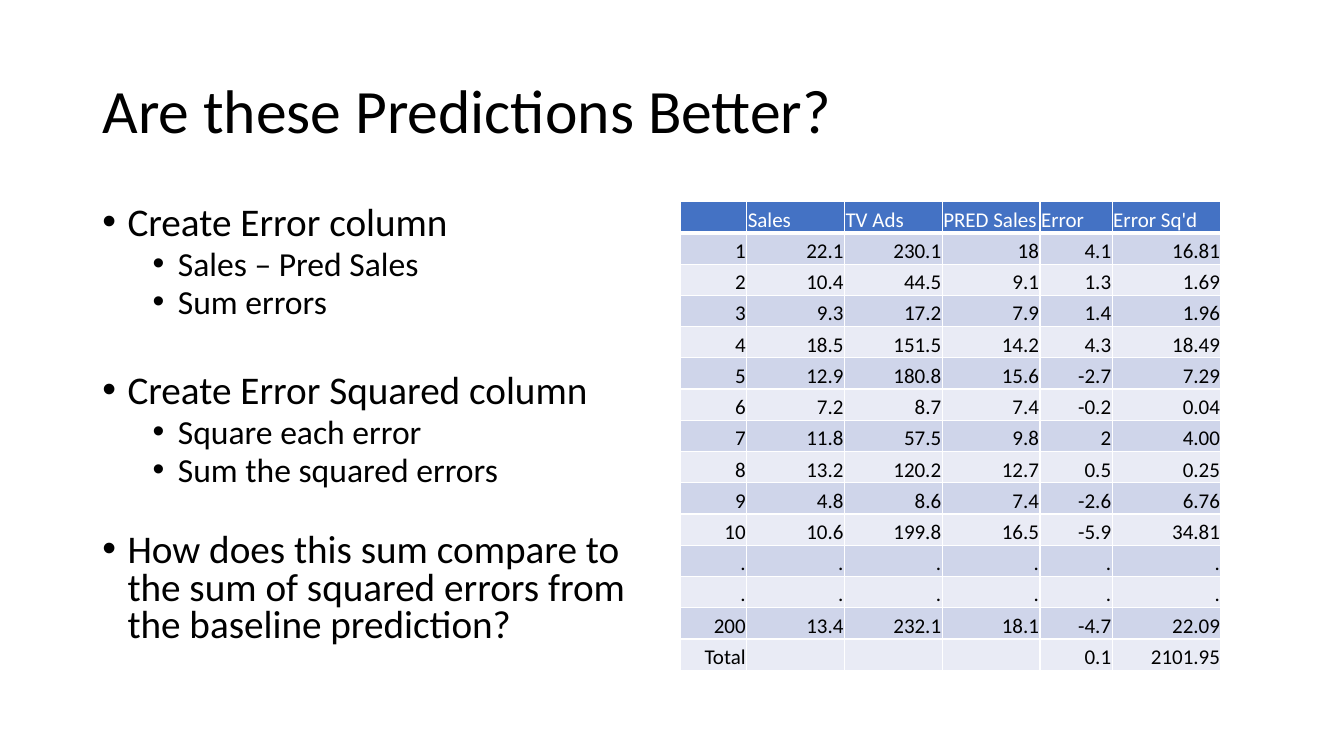
from dataclasses import dataclass

from lxml.etree import SubElement as Sub
from pptx import Presentation as Deck
from pptx.dml.color import RGBColor as Rgb
from pptx.enum.text import MSO_ANCHOR as Anchor, MSO_AUTO_SIZE as Auto, PP_ALIGN as Align
from pptx.oxml.ns import qn
from pptx.util import Inches, Pt


@dataclass(frozen=True)
class Theme:
    face: str = "Calibri"
    ink: str = "000000"
    white: str = "FFFFFF"
    head: str = "4472C4"
    bands: tuple = ("CFD5EA", "E9EBF5")
    title: int = 44
    sizes: tuple = (28, 24)  # by bullet level
    cell: int = 15


THEME = Theme()
COLS, ROWS = 160, 90  # slide grid, twelve units to the inch
UNIT = Inches(1) / 12

# Level, space before, text
POINTS = [
    (0, 0, "Create Error column"),
    (1, 4.5, "Sales – Pred Sales"),
    (1, 4.5, "Sum errors"),
    (0, 38, "Create Error Squared column"),
    (1, 4.5, "Square each error"),
    (1, 4.5, "Sum the squared errors"),
    (0, 31.5, "How does this sum compare to the sum of squared errors "
              "from the baseline prediction?"),
]

WIDTHS = [7.9, 11.64, 11.64, 11.64, 8.6, 12.96]
DATA = [
    ["", "Sales", "TV Ads", "PRED Sales", "Error", "Error Sq'd"],
    ["1", "22.1", "230.1", "18", "4.1", "16.81"],
    ["2", "10.4", "44.5", "9.1", "1.3", "1.69"],
    ["3", "9.3", "17.2", "7.9", "1.4", "1.96"],
    ["4", "18.5", "151.5", "14.2", "4.3", "18.49"],
    ["5", "12.9", "180.8", "15.6", "-2.7", "7.29"],
    ["6", "7.2", "8.7", "7.4", "-0.2", "0.04"],
    ["7", "11.8", "57.5", "9.8", "2", "4.00"],
    ["8", "13.2", "120.2", "12.7", "0.5", "0.25"],
    ["9", "4.8", "8.6", "7.4", "-2.6", "6.76"],
    ["10", "10.6", "199.8", "16.5", "-5.9", "34.81"],
    ["."] * 6,
    ["."] * 6,
    ["200", "13.4", "232.1", "18.1", "-4.7", "22.09"],
    ["Total", "", "", "", "0.1", "2101.95"],
]


def grid(*units):
    return [round(u * UNIT) for u in units]


def put(obj, **form):
    for name, value in form.items():
        setattr(obj, name, value)


def write(para, text, size, color):
    run = para.add_run()
    run.text = text
    put(run.font, name=THEME.face, size=Pt(size), bold=False)
    run.font.color.rgb = Rgb.from_string(color)


def bullet(para, level):
    props = para._p.get_or_add_pPr()
    props.set("marL", str(Inches(0.25 + 0.5 * level)))
    props.set("indent", str(Inches(-0.25)))
    Sub(props, qn("a:buFont"), typeface="Arial")
    Sub(props, qn("a:buChar"), char="•")


def add_title(slide, text, box):
    shape = slide.shapes.title
    put(shape, **dict(zip(("left", "top", "width", "height"), grid(*box))))
    frame = shape.text_frame
    put(frame, auto_size=Auto.NONE, word_wrap=True, vertical_anchor=Anchor.MIDDLE)
    para = frame.paragraphs[0]
    put(para, alignment=Align.LEFT, line_spacing=0.9)
    write(para, text, THEME.title, THEME.ink)


def add_points(slide, points, box):
    frame = slide.shapes.add_textbox(*grid(*box)).text_frame
    put(frame, word_wrap=True, vertical_anchor=Anchor.TOP)
    for i, (level, gap, text) in enumerate(points):
        para = frame.add_paragraph() if i else frame.paragraphs[0]
        put(para, level=level, line_spacing=0.8, space_before=Pt(gap))
        bullet(para, level)
        write(para, text, THEME.sizes[level], THEME.ink)


def edge(cell, side, width):
    line = Sub(cell._tc.get_or_add_tcPr(), qn(f"a:ln{side}"), w=str(Pt(width)))
    Sub(Sub(line, qn("a:solidFill")), qn("a:srgbClr"), val=THEME.white)


def fill_cell(cell, text, row):
    head = row == 0
    put(cell, margin_left=Pt(0.75), margin_right=Pt(0.75), margin_top=Pt(0.75),
        margin_bottom=0, vertical_anchor=Anchor.BOTTOM)
    for side in "LRTB":
        edge(cell, side, 3 if head and side == "B" else 1)
    cell.fill.solid()
    color = THEME.head if head else THEME.bands[(row - 1) % 2]
    cell.fill.fore_color.rgb = Rgb.from_string(color)
    para = cell.text_frame.paragraphs[0]
    para.alignment = Align.LEFT if head else Align.RIGHT
    write(para, text, THEME.cell, THEME.white if head else THEME.ink)


def add_grid(slide, data, widths, left, top, step):
    box = grid(left, top, sum(widths), step * len(data))
    table = slide.shapes.add_table(len(data), len(widths), *box).table
    for col, width in zip(table.columns, grid(*widths)):
        col.width = width
    for r, line in enumerate(data):
        table.rows[r].height = grid(step)[0]
        for c, text in enumerate(line):
            fill_cell(table.cell(r, c), text, r)


def main():
    deck = Deck()
    deck.slide_width, deck.slide_height = grid(COLS, ROWS)
    slide = deck.slides.add_slide(deck.slide_layouts[5])  # title only
    add_title(slide, "Are these Predictions Better?", (11, 4.8, 138, 17.4))
    add_points(slide, POINTS, (11, 24, 68, 57.1))
    add_grid(slide, DATA, WIDTHS, 81, 24, 3.72)
    deck.save("out.pptx")


if __name__ == "__main__":
    main()
